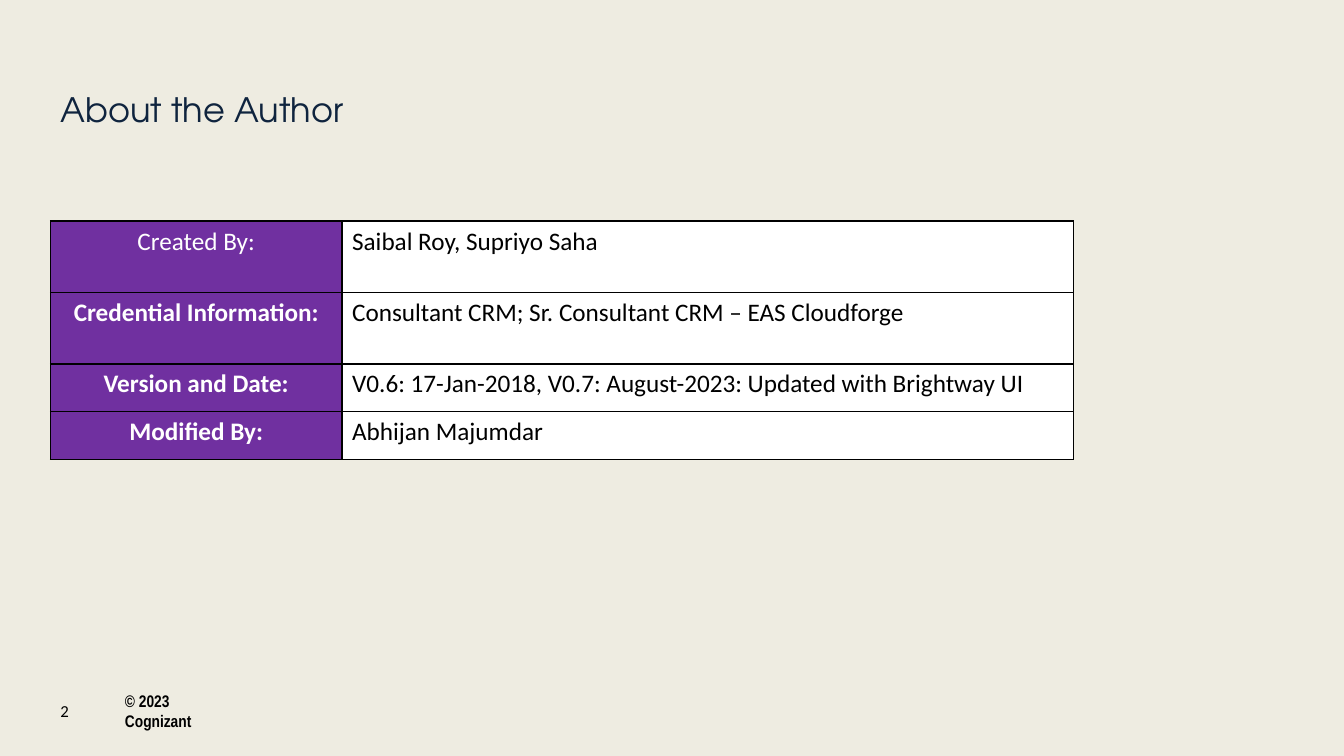
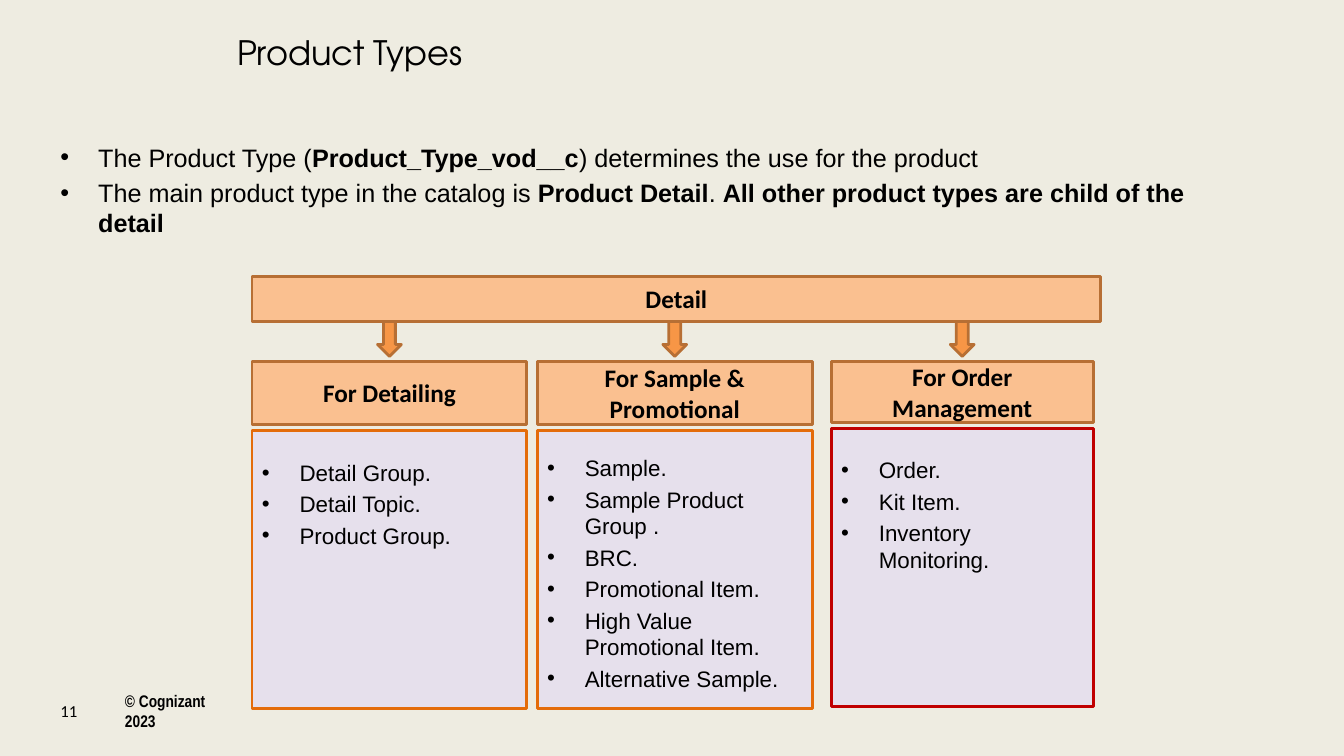
from dataclasses import dataclass
from typing import Any

import lxml.etree
import pptx
import pptx.dml.color
import pptx.enum.shapes
import pptx.enum.text
import pptx.oxml.ns
import pptx.util

Cm = pptx.util.Cm
Pt = pptx.util.Pt
RGBColor = pptx.dml.color.RGBColor
Align = pptx.enum.text.PP_ALIGN
Anchor = pptx.enum.text.MSO_ANCHOR
Shapes = pptx.enum.shapes.MSO_SHAPE
qn = pptx.oxml.ns.qn

BLACK = RGBColor(0x00, 0x00, 0x00)
WHITE = RGBColor(0xFF, 0xFF, 0xFF)
CREAM = RGBColor(0xEE, 0xEC, 0xE1)
NAVY = RGBColor(0x0F, 0x24, 0x3E)
PURPLE = RGBColor(0x70, 0x30, 0xA0)
LILAC = RGBColor(0xE6, 0xE0, 0xEC)
PEACH = RGBColor(0xFA, 0xC0, 0x90)
ORANGE = RGBColor(0xF7, 0x96, 0x46)
DARK_ORANGE = RGBColor(0xE4, 0x6C, 0x0A)
BROWN = RGBColor(0xB7, 0x6F, 0x34)
RED = RGBColor(0xC0, 0x00, 0x00)

TITLE_ONLY, TITLE_AND_BODY = 5, 1
HANGING = Cm(0.95)
BULLET_SPACE = 0.2


@dataclass(frozen=True)
class Box:
    """A rectangle measured in centimetres."""
    left: float
    top: float
    width: float
    height: float

    def lengths(self) -> tuple:
        return Cm(self.left), Cm(self.top), Cm(self.width), Cm(self.height)


@dataclass(frozen=True)
class TextStyle:
    name: str
    size: int
    color: RGBColor = BLACK
    bold: bool = False


@dataclass(frozen=True)
class AuthorRow:
    label: str
    value: str
    height: float
    bold_label: bool = True


@dataclass(frozen=True)
class ProductColumn:
    heading: str
    items: tuple[str, ...]
    left: float
    width: float
    heading_height: float
    text_inset: float
    border: RGBColor


FOOTER = TextStyle("Arial Narrow", 12, bold=True)
PAGE_NUMBER = TextStyle("Calibri", 12)
HEADING = TextStyle("Calibri", 18, bold=True)
BODY = TextStyle("Arial", 18)
BODY_BOLD = TextStyle("Arial", 18, bold=True)
ITEM = TextStyle("Arial", 16)

FOOTER_BOX = Box(2.9, 17.4, 3.33, 1.02)
PAGE_NUMBER_BOX = Box(1.27, 17.4, 1, 1.02)

AUTHOR_ROWS = (
    AuthorRow("Created By:", "Saibal Roy, Supriyo Saha", 1.8, bold_label=False),
    AuthorRow("Credential Information:",
              "Consultant CRM; Sr. Consultant CRM – EAS Cloudforge", 1.8),
    AuthorRow("Version and Date:",
              "V0.6: 17-Jan-2018, V0.7: August-2023: Updated with Brightway UI", 1.2),
    AuthorRow("Modified By:", "Abhijan Majumdar", 1.2),
)
AUTHOR_COLUMN_WIDTHS = (7.35, 18.43)

PRODUCT_POINTS = (
    (("The Product Type (", BODY), ("Product_Type_vod__c", BODY_BOLD),
     (") determines the use for the product", BODY)),
    (("The main product type in the catalog is ", BODY),
     ("Product Detail", BODY_BOLD), (". ", BODY),
     ("All other product types are child of the detail", BODY_BOLD)),
)

DETAIL_BOX = Box(6.35, 6.96, 21.39, 1.14)
ARROW_WIDTH, ARROW_HEIGHT = 0.6, 0.88
HEADING_TOP = 9.1
LIST_GAP, LIST_HEIGHT = 0.15, 7
PRODUCT_COLUMNS = (
    ProductColumn("For Detailing",
                  ("Detail Group.", "Detail Topic.", "Product Group."),
                  6.35, 6.93, 1.6, 0.72, DARK_ORANGE),
    ProductColumn("For Sample & Promotional",
                  ("Sample.", "Sample Product Group .", "BRC.", "Promotional Item.",
                   "High Value Promotional Item.", "Alternative Sample."),
                  13.54, 6.93, 1.6, 0.6, DARK_ORANGE),
    ProductColumn("For Order Management",
                  ("Order.", "Kit Item.", "Inventory Monitoring."),
                  20.95, 6.6, 1.55, 0.7, RED),
)


def set_attributes(target: Any, values: dict[str, Any]) -> None:
    for name, value in values.items():
        setattr(target, name, value)


def add_run(paragraph: Any, text: str, style: TextStyle) -> None:
    run = paragraph.add_run()
    run.text = text
    set_attributes(run.font, {"name": style.name, "size": Pt(style.size),
                              "bold": style.bold})
    run.font.color.rgb = style.color


def format_frame(frame: Any, anchor: Any) -> None:
    set_attributes(frame, {"word_wrap": True, "vertical_anchor": anchor,
                           "auto_size": pptx.enum.text.MSO_AUTO_SIZE.NONE})


def write_line(frame: Any, text: str, style: TextStyle, alignment: Any = Align.LEFT) -> None:
    paragraph = frame.paragraphs[0]
    paragraph.alignment = alignment
    add_run(paragraph, text, style)


def write_bullets(frame: Any, points: tuple) -> None:
    """Write one bulleted paragraph for each sequence of (text, style) runs."""
    for index, runs in enumerate(points):
        paragraph = frame.add_paragraph() if index else frame.paragraphs[0]
        properties = paragraph._p.get_or_add_pPr()
        properties.set("marL", str(HANGING))
        properties.set("indent", str(-HANGING))
        lxml.etree.SubElement(properties, qn("a:buFont")).set("typeface", "Arial")
        lxml.etree.SubElement(properties, qn("a:buChar")).set("char", "•")
        space = BULLET_SPACE * runs[0][1].size if index else 0
        set_attributes(paragraph, {"alignment": Align.LEFT, "space_before": Pt(space)})
        for text, style in runs:
            add_run(paragraph, text, style)


def place(shape: Any, box: Box) -> None:
    set_attributes(shape, dict(zip(("left", "top", "width", "height"), box.lengths())))


def add_label(slide: Any, box: Box, text: str, style: TextStyle) -> Any:
    frame = slide.shapes.add_textbox(*box.lengths()).text_frame
    format_frame(frame, Anchor.MIDDLE)
    write_line(frame, text, style)
    return frame


def add_filled_shape(slide: Any, kind: Any, box: Box, fill: RGBColor, border: RGBColor) -> Any:
    shape = slide.shapes.add_shape(kind, *box.lengths())
    shape.shadow.inherit = False
    shape.fill.solid()
    shape.fill.fore_color.rgb = fill
    shape.line.color.rgb = border
    shape.line.width = Pt(2)
    return shape


def add_heading_box(slide: Any, box: Box, text: str) -> None:
    shape = add_filled_shape(slide, Shapes.RECTANGLE, box, PEACH, BROWN)
    format_frame(shape.text_frame, Anchor.MIDDLE)
    write_line(shape.text_frame, text, HEADING, Align.CENTER)


def add_slide(presentation: Any, layout: int, title: str, title_box: Box,
              title_color: RGBColor, footer: str, number: str) -> Any:
    """Add a slide with its title, copyright line and page number."""
    slide = presentation.slides.add_slide(presentation.slide_layouts[layout])
    footer_frame = add_label(slide, FOOTER_BOX, footer, FOOTER)
    footer_frame.margin_right = Cm(0.5)
    add_label(slide, PAGE_NUMBER_BOX, number, PAGE_NUMBER)
    place(slide.shapes.title, title_box)
    frame = slide.shapes.title.text_frame
    format_frame(frame, Anchor.MIDDLE)
    write_line(frame, title, TextStyle("TeX Gyre Adventor", 24, title_color))
    return slide


def fill_cell(cell: Any, text: str, style: TextStyle, fill: RGBColor, alignment: Any) -> None:
    properties = cell._tc.get_or_add_tcPr()
    for side in ("lnL", "lnR", "lnT", "lnB"):
        line = lxml.etree.SubElement(properties, qn(f"a:{side}"))
        line.set("w", str(Pt(1)))
        solid = lxml.etree.SubElement(line, qn("a:solidFill"))
        lxml.etree.SubElement(solid, qn("a:srgbClr")).set("val", str(BLACK))
    cell.fill.solid()
    cell.fill.fore_color.rgb = fill
    write_line(cell.text_frame, text, style, alignment)


def add_author_table(slide: Any) -> None:
    box = Box(1.27, 5.57, sum(AUTHOR_COLUMN_WIDTHS), sum(row.height for row in AUTHOR_ROWS))
    table = slide.shapes.add_table(len(AUTHOR_ROWS), 2, *box.lengths()).table
    set_attributes(table, {"first_row": False, "horz_banding": False})
    for column, width in zip(table.columns, AUTHOR_COLUMN_WIDTHS):
        column.width = Cm(width)
    for index, row in enumerate(AUTHOR_ROWS):
        table.rows[index].height = Cm(row.height)
        label_style = TextStyle("Calibri", 18, WHITE, row.bold_label)
        fill_cell(table.cell(index, 0), row.label, label_style, PURPLE, Align.CENTER)
        fill_cell(table.cell(index, 1), row.value, TextStyle("Calibri", 18), WHITE, Align.LEFT)


def add_product_column(slide: Any, column: ProductColumn) -> None:
    """Draw an arrow, a heading and a bulleted list below the detail bar."""
    arrow_box = Box(column.left + (column.width - ARROW_WIDTH) / 2,
                    DETAIL_BOX.top + DETAIL_BOX.height, ARROW_WIDTH, ARROW_HEIGHT)
    add_filled_shape(slide, Shapes.DOWN_ARROW, arrow_box, ORANGE, BROWN)
    add_heading_box(slide, Box(column.left, HEADING_TOP, column.width, column.heading_height),
                    column.heading)
    list_box = Box(column.left, HEADING_TOP + column.heading_height + LIST_GAP,
                   column.width, LIST_HEIGHT)
    frame = add_filled_shape(slide, Shapes.RECTANGLE, list_box, LILAC, column.border).text_frame
    format_frame(frame, Anchor.TOP)
    frame.margin_top = Cm(column.text_inset)
    write_bullets(frame, tuple(((item, ITEM),) for item in column.items))


def build_author_slide(presentation: Any) -> None:
    slide = add_slide(presentation, TITLE_ONLY, "About the Author",
                      Box(1.27, 2.31, 30.02, 0.86), NAVY, "© 2023 Cognizant", "2")
    add_author_table(slide)


def build_product_slide(presentation: Any) -> None:
    slide = add_slide(presentation, TITLE_AND_BODY, "Product Types",
                      Box(5.72, 0.64, 25.4, 1.32), BLACK, "© Cognizant 2023", "11")
    body = slide.placeholders[1]
    place(body, Box(1.27, 3.45, 29.85, 13.8))
    format_frame(body.text_frame, Anchor.TOP)
    write_bullets(body.text_frame, PRODUCT_POINTS)
    add_heading_box(slide, DETAIL_BOX, "Detail")
    for column in PRODUCT_COLUMNS:
        add_product_column(slide, column)


def main() -> None:
    presentation = pptx.Presentation()
    set_attributes(presentation, {"slide_width": Cm(33.87), "slide_height": Cm(19.05)})
    background = presentation.slide_master.background.fill
    background.solid()
    background.fore_color.rgb = CREAM
    build_author_slide(presentation)
    build_product_slide(presentation)
    presentation.save("out.pptx")


if __name__ == "__main__":
    main()
